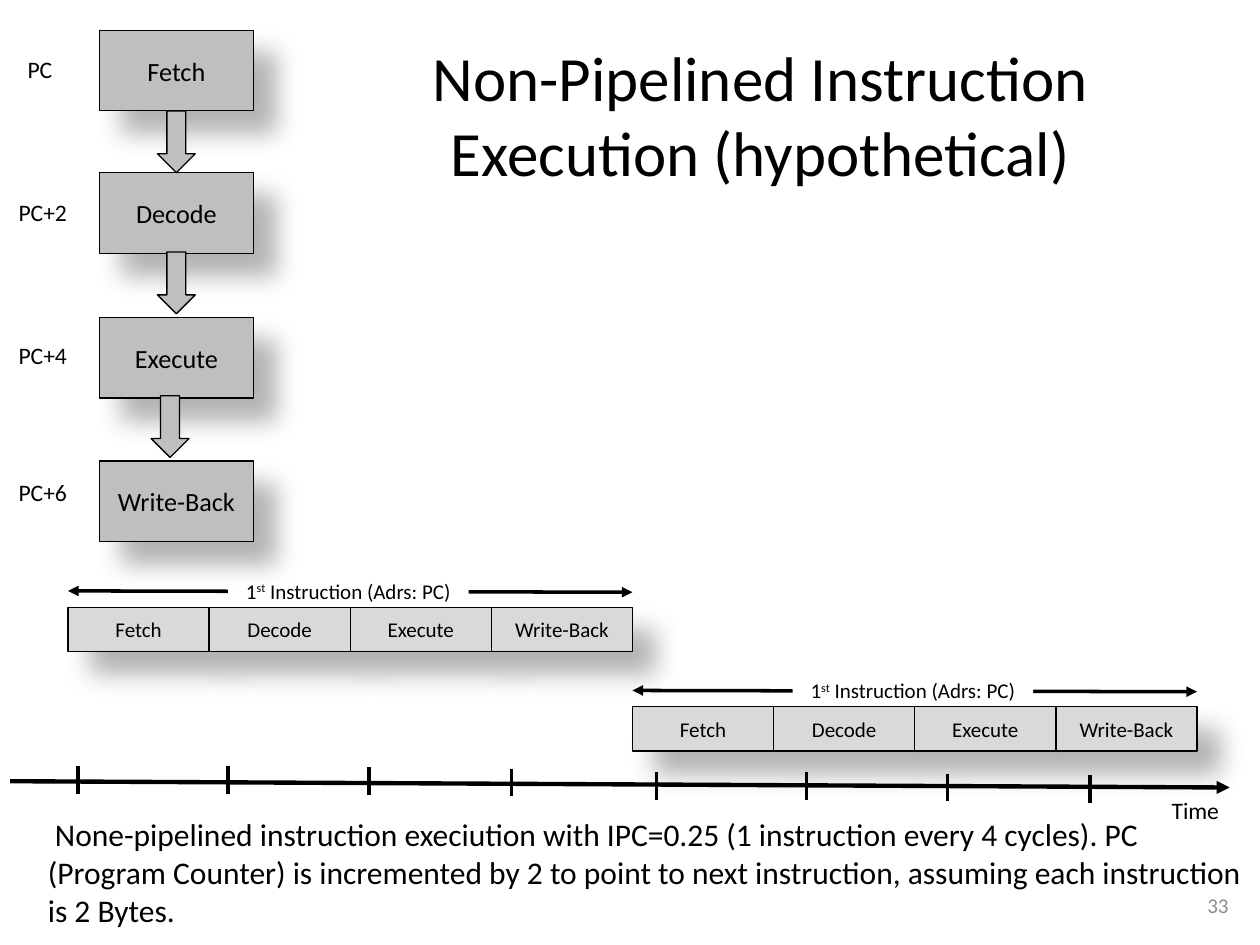
from dataclasses import dataclass
from lxml.etree import SubElement
from pptx import Presentation
from pptx.dml.color import RGBColor
from pptx.enum.shapes import MSO_CONNECTOR, MSO_SHAPE
from pptx.enum.text import MSO_ANCHOR, MSO_AUTO_SIZE, PP_ALIGN
from pptx.oxml import parse_xml
from pptx.oxml.ns import nsdecls, qn
from pptx.util import Inches, Pt


@dataclass
class Theme:
    font: str = "Calibri"
    black: RGBColor = RGBColor(0, 0, 0)
    white: RGBColor = RGBColor(255, 255, 255)
    pale: RGBColor = RGBColor(217, 217, 217)
    grey: RGBColor = RGBColor(191, 191, 191)
    dim: RGBColor = RGBColor(140, 140, 140)
    title: float = 36
    body: float = 18
    stage: float = 15
    label: float = 13.5
    small: float = 12


theme = Theme()


def write(shape, text, size, color=theme.black, align=PP_ALIGN.LEFT,
          anchor=MSO_ANCHOR.TOP, pad=(0.1, 0.05), wrap=True, raised=None):
    frame = shape.text_frame
    frame.auto_size = MSO_AUTO_SIZE.NONE
    frame.word_wrap = wrap
    frame.vertical_anchor = anchor
    frame.margin_left = frame.margin_right = Inches(pad[0])
    frame.margin_top = frame.margin_bottom = Inches(pad[1])
    line = frame.paragraphs[0]
    line.alignment = align
    for part in text.partition(raised) if raised else [text]:
        run = line.add_run()
        run.text = part
        run.font.name = theme.font
        run.font.size = Pt(size)
        run.font.color.rgb = color
        if part == raised:
            run.font._element.set("baseline", "30000")


def link(x1, y1, x2, y2, width=2, ends=()):
    line = slide.shapes.add_connector(
        MSO_CONNECTOR.STRAIGHT, Inches(x1), Inches(y1), Inches(x2), Inches(y2))
    line.line.color.rgb = theme.black
    line.line.width = Pt(width)
    for end in ends:
        SubElement(line.line._get_or_add_ln(), qn(f"a:{end}"), type="triangle")
    SubElement(line._element.spPr, qn("a:effectLst"))


deck = Presentation()
deck.slide_width, deck.slide_height = Inches(10), Inches(7.5)
slide = deck.slides.add_slide(deck.slide_layouts[1])
shapes = slide.shapes

title, body = slide.placeholders
for holder, spot in ((title, (2.42, 0.28, 7.23, 1.25)), (body, (0.28, 6.42, 9.72, 1.36))):
    holder.left, holder.top, holder.width, holder.height = map(Inches, spot)
write(title, "Non-Pipelined Instruction Execution (hypothetical)", theme.title,
      align=PP_ALIGN.CENTER, anchor=MSO_ANCHOR.MIDDLE)
write(body, " None-pipelined instruction execiution with IPC=0.25 (1 instruction every 4 cycles). "
      "PC (Program Counter) is incremented by 2 to point to next instruction, "
      "assuming each instruction is 2 Bytes.", theme.body)
props = body.text_frame.paragraphs[0]._p.get_or_add_pPr()
props.set("marL", "0")
props.set("indent", "0")
SubElement(props, qn("a:buNone"))

page = shapes.add_textbox(Inches(7.09), Inches(6.98), Inches(2.76), Inches(0.4))
write(page, "33", theme.small, theme.dim, PP_ALIGN.RIGHT, MSO_ANCHOR.MIDDLE)

link(0.08, 6.2, 9.76, 6.25, 2.5, ["tailEnd"])
for x, y in ((0.62, 6.08), (1.81, 6.08), (2.93, 6.09), (4.06, 6.1)):
    for dx, dy in ((0, 0), (4.59, 0.05)):
        link(x + dx, y + dy, x + dx, y + dy + 0.22)

steps = ["Fetch", "Decode", "Execute", "Write-Back"]
boxes = []
for left, top in ((0.54, 4.82), (5.02, 5.61)):
    link(left, top - 0.13, left + 4.48, top - 0.12, ends=["headEnd", "tailEnd"])
    mark = shapes.add_shape(MSO_SHAPE.RECTANGLE, Inches(left + 1.27), Inches(top - 0.28),
                            Inches(1.91), Inches(0.3))
    mark.shadow.inherit = False
    mark.fill.solid()
    mark.fill.fore_color.rgb = theme.white
    mark.line.fill.background()
    write(mark, "1st Instruction (Adrs: PC)", theme.small, align=PP_ALIGN.CENTER, raised="st")
    boxes += [(step, left + 1.12 * i, top, 1.12, 0.35, theme.pale, theme.small)
              for i, step in enumerate(steps)]
boxes += [(step, 0.79, top, 1.22, 0.64, theme.grey, theme.stage)
          for step, top in zip(steps, (0.24, 1.37, 2.52, 3.66))]
boxes += [("", x, y, 0.3, 0.49, theme.grey, None)
          for x, y in ((1.25, 0.88), (1.25, 2), (1.2, 3.14))]

for text, x, y, w, h, fill, size in boxes:
    kind = MSO_SHAPE.RECTANGLE if text else MSO_SHAPE.DOWN_ARROW
    box = shapes.add_shape(kind, *map(Inches, (x, y, w, h)))
    box.shadow.inherit = False
    box.fill.solid()
    box.fill.fore_color.rgb = fill
    box.line.color.rgb = theme.black
    box.line.width = Pt(0.75)
    if text:
        write(box, text, size, align=PP_ALIGN.CENTER, anchor=MSO_ANCHOR.MIDDLE, pad=(0.07, 0.04))
        box._element.spPr.find(qn("a:effectLst")).append(parse_xml(
            f'<a:outerShdw {nsdecls("a")} blurRad="{Pt(15)}" dist="{Pt(18)}" dir="2700000" '
            f'algn="tl" rotWithShape="0"><a:srgbClr val="{theme.black}">'
            '<a:alpha val="30000"/></a:srgbClr></a:outerShdw>'))

for text, x, y, w in (("PC", 0.12, 0.39, 0.51), ("PC+2", 0.05, 1.52, 0.66),
                      ("PC+4", 0.05, 2.66, 0.66), ("PC+6", 0.05, 3.74, 0.66),
                      ("Time", 9.2, 6.27, 0.73)):
    label = shapes.add_textbox(Inches(x), Inches(y), Inches(w), Inches(0.33))
    write(label, text, theme.label, wrap=False)

deck.save("out.pptx")
